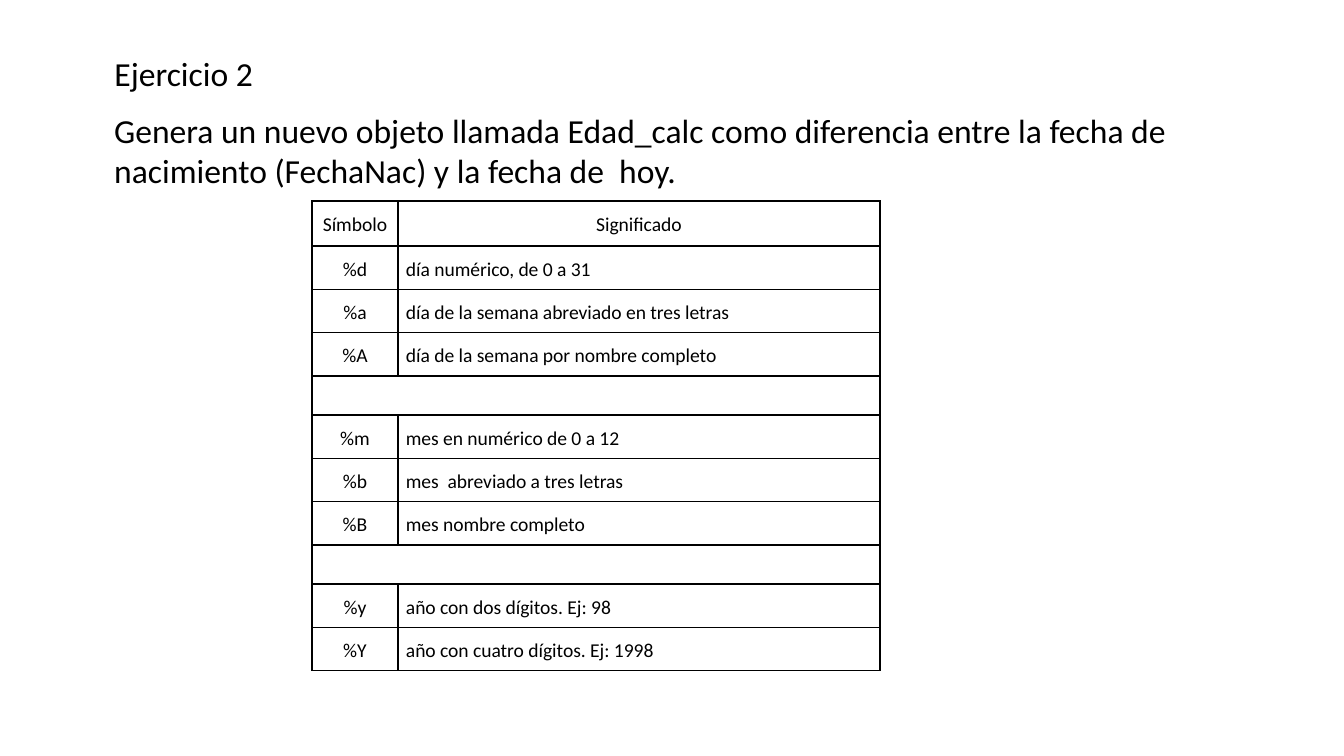
from lxml import etree
from pptx import Presentation
from pptx import util as u
from pptx.dml.color import RGBColor
from pptx.enum import text
from pptx.oxml.ns import qn

COLORS = {"ink": "000000", "paper": "FFFFFF"}
FONT = "Calibri"
SCALE = 914400 / 134.4
CENTER, LEFT = text.PP_ALIGN.CENTER, text.PP_ALIGN.LEFT


def px(length):
    return u.Emu(round(length * SCALE))


def write(frame, words, size=18, align=LEFT, spacing=None):
    paragraph = frame.paragraphs[0]
    paragraph.alignment = align
    if spacing:
        paragraph.line_spacing = spacing
    if not words:
        end = etree.SubElement(paragraph._p, qn("a:endParaRPr"))
        end.set("sz", str(round(size * 100)))
        return
    run = paragraph.add_run()
    run.text = words
    run.font.size = u.Pt(size)
    run.font.name = FONT
    run.font.color.rgb = RGBColor.from_string(COLORS["ink"])


class SlideBuilder:
    """Holds the slide and its style, with one method per kind of element."""

    def __init__(self, slide):
        self.slide = slide
        self.cell_inset = px(8)
        self.border = u.Pt(1)

    def place(self, shape, box, words):
        shape.left, shape.top, shape.width, shape.height = map(px, box)
        frame = shape.text_frame
        frame.word_wrap = True
        frame.auto_size = text.MSO_AUTO_SIZE.NONE
        frame.vertical_anchor = text.MSO_ANCHOR.TOP
        write(frame, words)

    def title(self, box, words):
        self.place(self.slide.shapes.title, box, words)

    def textbox(self, box, words):
        self.place(self.slide.shapes.add_textbox(0, 0, 0, 0), box, words)

    def outline(self, cell):
        properties = cell._tc.get_or_add_tcPr()
        for index, side in enumerate(("lnL", "lnR", "lnT", "lnB")):
            line = etree.Element(qn("a:" + side), w=str(self.border))
            fill = etree.SubElement(line, qn("a:solidFill"))
            etree.SubElement(fill, qn("a:srgbClr"), val=COLORS["ink"])
            properties.insert(index, line)

    def table(self, left, top, widths, rows):
        heights = [45 if i == 0 else 42 if row else 39 for i, row in enumerate(rows)]
        table = self.slide.shapes.add_table(
            len(rows), len(widths), px(left), px(top), px(sum(widths)), px(sum(heights))
        ).table
        table.first_row = table.horz_banding = False
        for column, width in zip(table.columns, widths):
            column.width = px(width)
        for i, (row, height) in enumerate(zip(rows, heights)):
            table.rows[i].height = px(height)
            if not row:
                table.cell(i, 0).merge(table.cell(i, len(widths) - 1))
            for j, words in enumerate(row or [""] * len(widths)):
                cell = table.cell(i, j)
                cell.margin_left = cell.margin_right = self.cell_inset
                cell.margin_top = cell.margin_bottom = self.cell_inset
                cell.vertical_anchor = text.MSO_ANCHOR.TOP if i else text.MSO_ANCHOR.MIDDLE
                cell.fill.background()
                self.outline(cell)
                align = CENTER if i == 0 or j == 0 else LEFT
                write(cell.text_frame, words, size=10.5 if row else 8,
                      align=align, spacing=1.15)


SYMBOLS = [
    ("Símbolo", "Significado"),
    ("%d", "día numérico, de 0 a 31"),
    ("%a", "día de la semana abreviado en tres letras"),
    ("%A", "día de la semana por nombre completo"),
    None,
    ("%m", "mes en numérico de 0 a 12"),
    ("%b", "mes \u00a0abreviado a tres letras"),
    ("%B", "mes nombre completo"),
    None,
    ("%y", "año con dos dígitos. Ej: 98"),
    ("%Y", "año con cuatro dígitos. Ej: 1998"),
]

presentation = Presentation()
presentation.slide_width, presentation.slide_height = px(1344), px(756)
builder = SlideBuilder(presentation.slides.add_slide(presentation.slide_layouts[5]))
builder.title((101, 46, 672, 54), "Ejercicio 2")
builder.textbox(
    (101, 103, 1122, 95),
    "Genera un nuevo objeto llamada Edad_calc como diferencia entre la fecha de "
    "nacimiento (FechaNac) y la fecha de  hoy.",
)
builder.table(312, 201, (86, 482), SYMBOLS)
presentation.save("out.pptx")
